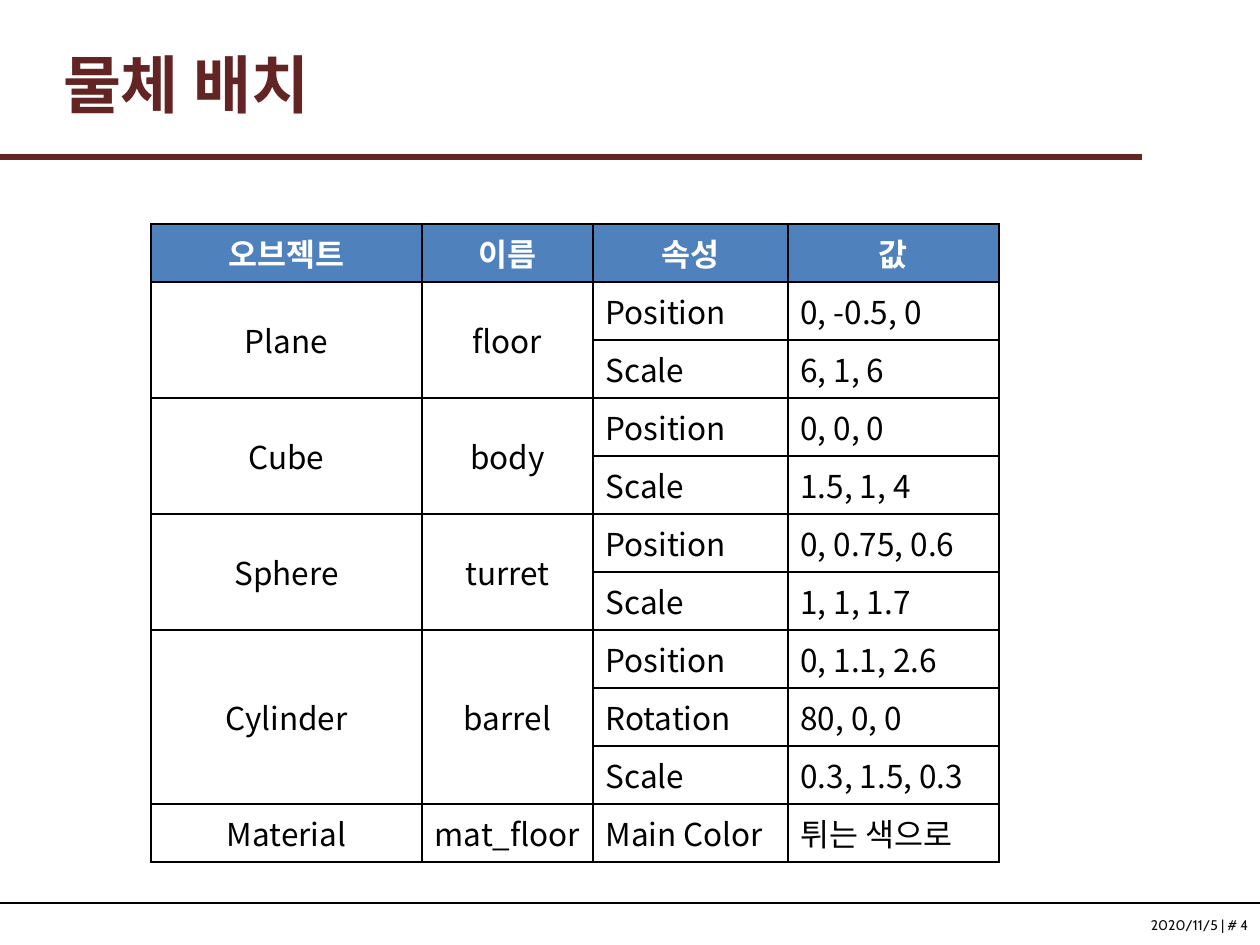
from dataclasses import dataclass

from lxml import etree
from pptx import Presentation
from pptx.dml.color import RGBColor
from pptx.enum.shapes import MSO_CONNECTOR
from pptx.enum.text import MSO_ANCHOR, MSO_AUTO_SIZE, PP_ALIGN
from pptx.oxml.ns import qn
from pptx.util import Pt

LEFT, CENTER, RIGHT = PP_ALIGN.LEFT, PP_ALIGN.CENTER, PP_ALIGN.RIGHT
MIDDLE = MSO_ANCHOR.MIDDLE
STRAIGHT = MSO_CONNECTOR.STRAIGHT
EMU_PER_PX = 914400 // 126
TITLE_ONLY = 5

TITLE = "물체 배치"
FOOTER = "2020/11/5 | # 4"
HEADERS = ["오브젝트", "이름", "속성", "값"]
OBJECTS = [
    ("Plane", "floor", [("Position", "0, -0.5, 0"), ("Scale", "6, 1, 6")]),
    ("Cube", "body", [("Position", "0, 0, 0"), ("Scale", "1.5, 1, 4")]),
    ("Sphere", "turret", [("Position", "0, 0.75, 0.6"), ("Scale", "1, 1, 1.7")]),
    ("Cylinder", "barrel", [("Position", "0, 1.1, 2.6"), ("Rotation", "80, 0, 0"),
                            ("Scale", "0.3, 1.5, 0.3")]),
    ("Material", "mat_floor", [("Main Color", "튀는 색으로")]),
]
COLUMN_WIDTHS = [271, 171, 195, 211]
ROW_HEIGHT = 58
TABLE_LEFT, TABLE_TOP = 151, 224


@dataclass(frozen=True)
class Theme:
    accent: str = "632523"
    header: str = "4F81BD"
    white: str = "FFFFFF"
    ink: str = "000000"
    footer: str = "0D0D0D"
    display_font: str = "Cabin"
    table_font: str = "Noto Sans CJK KR"
    title_size: int = 36
    table_size: int = 18
    footer_size: int = 8
    thin: float = 1
    outer: float = 1.5
    rule: float = 3


THEME = Theme()


def px(length):
    return length * EMU_PER_PX


def write(frame, text, font, size, color, align, bold=False):
    frame.text = text
    para = frame.paragraphs[0]
    para.alignment = align
    para.font.name = font
    para.font.size = Pt(size)
    para.font.bold = bold
    para.font.color.rgb = RGBColor.from_string(color)
    properties = para._p.pPr.find(qn("a:defRPr"))
    etree.SubElement(properties, qn("a:ea"), typeface=THEME.table_font)


def add_rule(page, right, y, color, width):
    """Draw a horizontal line from the left edge of the page."""
    line = page.shapes.add_connector(STRAIGHT, 0, px(y), px(right), px(y))
    line.line.color.rgb = RGBColor.from_string(color)
    line.line.width = Pt(width)
    etree.SubElement(line._element.spPr, qn("a:effectLst"))


def set_borders(cell, widths):
    """Set the left, right, top and bottom borders, in points."""
    properties = cell._tc.get_or_add_tcPr()
    for index, (side, width) in enumerate(zip("LRTB", widths)):
        border = etree.Element(qn(f"a:ln{side}"), w=str(Pt(width)))
        fill = etree.SubElement(border, qn("a:solidFill"))
        etree.SubElement(fill, qn("a:srgbClr"), val=THEME.ink)
        properties.insert(index, border)


def write_cell(cell, text, align, header=False):
    color = THEME.white if header else THEME.ink
    write(cell.text_frame, text, THEME.table_font, THEME.table_size, color, align, header)
    cell.vertical_anchor = MIDDLE


def add_table(page):
    row_count = 1 + sum(len(settings) for _, _, settings in OBJECTS)
    column_count = len(HEADERS)
    table = page.shapes.add_table(
        row_count, column_count, px(TABLE_LEFT), px(TABLE_TOP),
        px(sum(COLUMN_WIDTHS)), px(ROW_HEIGHT * row_count)).table
    for column, width in zip(table.columns, COLUMN_WIDTHS):
        column.width = px(width)
    for row in table.rows:
        row.height = px(ROW_HEIGHT)

    for r in range(row_count):
        for c in range(column_count):
            cell = table.cell(r, c)
            if r == 0:
                cell.fill.solid()
                cell.fill.fore_color.rgb = RGBColor.from_string(THEME.header)
            else:
                cell.fill.background()
            edges = (c == 0, c == column_count - 1, r == 0, r == row_count - 1)
            set_borders(cell, [THEME.outer if edge else THEME.thin for edge in edges])

    for c, header in enumerate(HEADERS):
        write_cell(table.cell(0, c), header, CENTER, header=True)
    top = 1
    for kind, name, settings in OBJECTS:
        bottom = top + len(settings) - 1
        for c, text in enumerate((kind, name)):
            if bottom > top:
                table.cell(top, c).merge(table.cell(bottom, c))
            write_cell(table.cell(top, c), text, CENTER)
        for r, setting in enumerate(settings, top):
            for c, text in enumerate(setting, 2):
                write_cell(table.cell(r, c), text, LEFT)
        top = bottom + 1


def add_title(page):
    title = page.shapes.title
    title.left, title.top, title.width, title.height = map(px, (38, 28, 1134, 110))
    frame = title.text_frame
    frame.auto_size = MSO_AUTO_SIZE.NONE
    frame.vertical_anchor = MIDDLE
    frame.margin_left = px(25)
    write(frame, TITLE, THEME.display_font, THEME.title_size, THEME.accent, LEFT, bold=True)


def add_footer(page):
    box = page.shapes.add_textbox(px(1125), px(910), px(136), px(30))
    box.text_frame.word_wrap = False
    write(box.text_frame, FOOTER, THEME.display_font, THEME.footer_size, THEME.footer, RIGHT)


def main():
    deck = Presentation()
    deck.slide_width, deck.slide_height = px(1260), px(945)
    page = deck.slides.add_slide(deck.slide_layouts[TITLE_ONLY])
    add_footer(page)
    add_rule(page, 1142, 157, THEME.accent, THEME.rule)
    add_rule(page, 1260, 903, THEME.ink, THEME.thin)
    add_title(page)
    add_table(page)
    deck.save("out.pptx")


if __name__ == "__main__":
    main()
